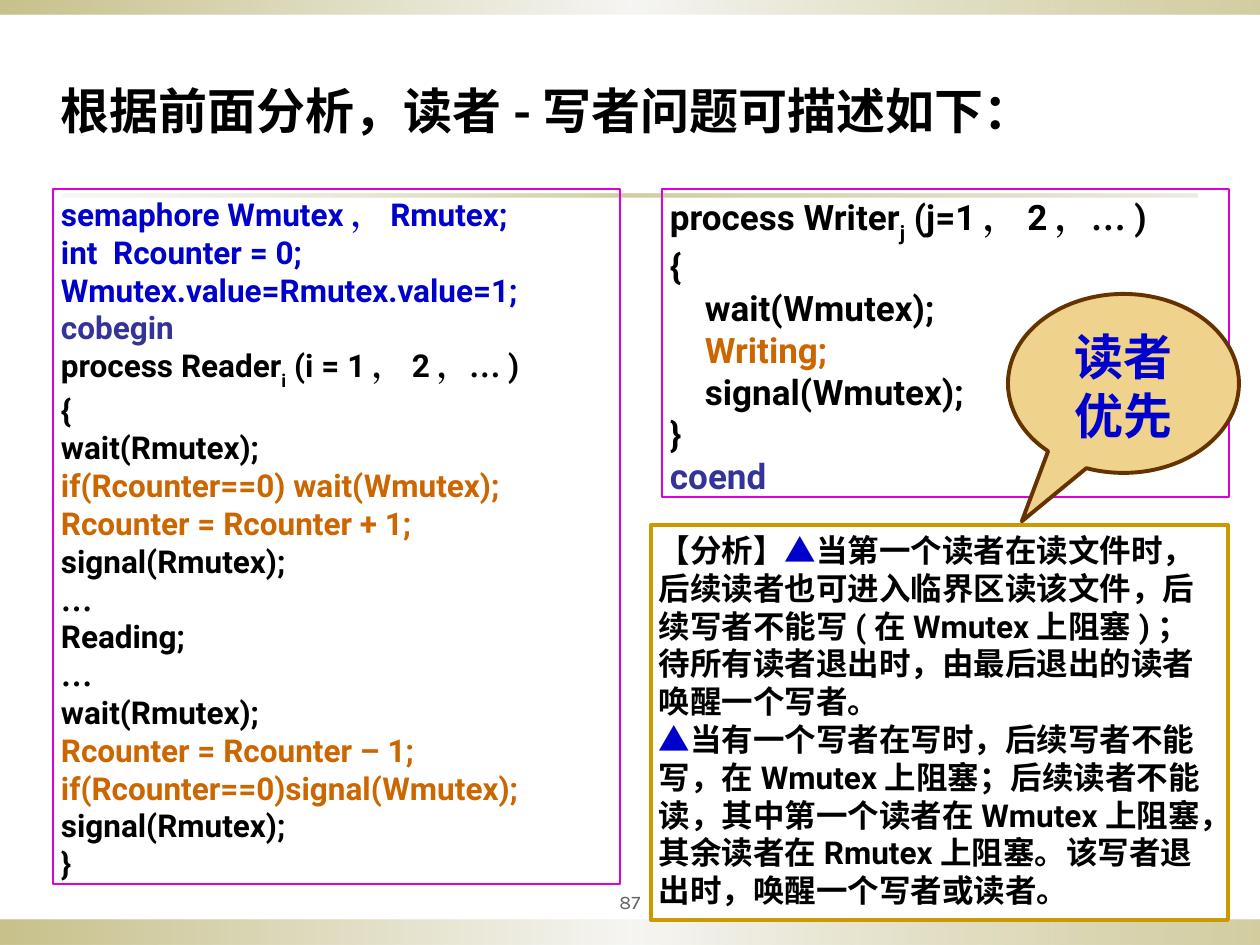
from itertools import groupby

from lxml import etree
from pptx import Presentation
from pptx import util as u
from pptx.dml.color import RGBColor
from pptx.enum import shapes, text
from pptx.oxml.ns import qn

PX = 914400 / 126
COLORS = {
    "olive": "918415", "pale": "EEEDE8", "mist": "DCD9CC",
    "black": "000000", "blue": "0000CC", "indigo": "333399",
    "orange": "CC6600", "gray": "636363", "magenta": "DD00DD",
    "gold": "CC9900", "white": "FFFFFF", "sand": "EFD28C", "brown": "663300",
}
WIDE_MARKS = "，…"

# Each paragraph is a list of runs: (text, colour) or (text, colour, "sub")
READER = [
    [("semaphore Wmutex，Rmutex;", "blue")],
    [("int  Rcounter = 0;", "blue")],
    [("Wmutex.value=Rmutex.value=1;", "blue")],
    [("cobegin", "indigo")],
    [("process Reader", "black"), ("i", "black", "sub"), (" (i = 1，2，…)", "black")],
    [("{", "black")],
    [("wait(Rmutex);", "black")],
    [("if(Rcounter==0) wait(Wmutex);", "orange")],
    [("Rcounter = Rcounter + 1;", "orange")],
    [("signal(Rmutex);", "black")],
    [("…", "black")],
    [("Reading;", "black")],
    [("…", "black")],
    [("wait(Rmutex);", "black")],
    [("Rcounter = Rcounter – 1;", "orange")],
    [("if(Rcounter==0)signal(Wmutex);", "orange")],
    [("signal(Rmutex);", "black")],
    [("}", "black")],
]
WRITER = [
    [("process Writer", "black"), ("j", "black", "sub"), (" (j=1，2，…)", "black")],
    [("{", "black")],
    [("    wait(Wmutex);", "black")],
    [("    Writing;", "orange")],
    [("    signal(Wmutex);", "black")],
    [("}", "black")],
    [("coend", "indigo")],
]
ANALYSIS = [
    [("【分析】", "black"), ("▲", "blue"),
     ("当第一个读者在读文件时，后续读者也可进入临界区读该文件，后续写者不能写"
      "(在Wmutex上阻塞)；待所有读者退出时，由最后退出的读者唤醒一个写者。", "black")],
    [("▲", "blue"),
     ("当有一个写者在写时，后续写者不能写，在Wmutex上阻塞；后续读者不能读，"
      "其中第一个读者在Wmutex上阻塞，其余读者在Rmutex上阻塞。"
      "该写者退出时，唤醒一个写者或读者。", "black")],
]


def px(value):
    return u.Emu(round(value * PX))


def rgb(name):
    return RGBColor.from_string(COLORS[name])


def style_run(run, font, size, color, bold=True):
    run.font.name = font
    run.font.size = u.Pt(size)
    run.font.bold = bold
    run.font.color.rgb = rgb(color)
    latin = run.font._element.find(qn("a:latin"))
    east_asian = etree.Element(qn("a:ea"), typeface=font)
    latin.addnext(east_asian)


def set_frame(frame, anchor=text.MSO_ANCHOR.TOP):
    frame.word_wrap = True
    frame.auto_size = text.MSO_AUTO_SIZE.NONE
    frame.vertical_anchor = anchor
    frame.margin_left = frame.margin_right = px(8)
    frame.margin_top = frame.margin_bottom = px(6)


def add_shape(slide, kind, box, fill=None, line=None, width=1):
    shape = slide.shapes.add_shape(kind, *map(px, box))
    shape.shadow.inherit = False
    if fill:
        shape.fill.solid()
        shape.fill.fore_color.rgb = rgb(fill)
    else:
        shape.fill.background()
    if line:
        shape.line.color.rgb = rgb(line)
        shape.line.width = u.Pt(width)
    else:
        shape.line.fill.background()
    return shape


def add_band(slide, box, stops):
    """Borderless strip with a horizontal gradient of (colour, opacity %)."""
    band = add_shape(slide, shapes.MSO_SHAPE.RECTANGLE, box, "white")
    band.fill.gradient()
    band.fill.gradient_angle = 0
    stop_list = band._element.spPr.find(".//" + qn("a:gsLst"))
    for stop in list(stop_list):
        stop_list.remove(stop)
    for index, (color, opacity) in enumerate(stops):
        stop = etree.SubElement(stop_list, qn("a:gs"), pos=str(index * 50000))
        value = etree.SubElement(stop, qn("a:srgbClr"), val=COLORS[color])
        etree.SubElement(value, qn("a:alpha"), val=str(opacity * 1000))


def add_text_panel(slide, box, paragraphs, size, line, width=1, fill=None):
    panel = add_shape(slide, shapes.MSO_SHAPE.RECTANGLE, box, fill, line, width)
    set_frame(panel.text_frame)
    for index, runs in enumerate(paragraphs):
        frame = panel.text_frame
        paragraph = frame.add_paragraph() if index else frame.paragraphs[0]
        paragraph.alignment = text.PP_ALIGN.LEFT
        for content, color, *script in runs:
            # Wide punctuation in the code takes a serif face
            is_code = paragraphs is not ANALYSIS
            for wide, chars in groupby(content, lambda c: is_code and c in WIDE_MARKS):
                run = paragraph.add_run()
                run.text = "".join(chars)
                style_run(run, "Times New Roman" if wide else "Roboto", size, color)
                if script:
                    run.font._element.set("baseline", "-30000")


def add_title(slide, box, content):
    title = slide.shapes.title
    title.left, title.top, title.width, title.height = map(px, box)
    set_frame(title.text_frame)
    title.text_frame.text = content
    paragraph = title.text_frame.paragraphs[0]
    paragraph.alignment = text.PP_ALIGN.LEFT
    style_run(paragraph.runs[0], "Noto Sans CJK SC", 28, "black")


def add_page_number(slide, box, content):
    number = slide.shapes.add_textbox(*map(px, box))
    set_frame(number.text_frame, text.MSO_ANCHOR.MIDDLE)
    number.text_frame.text = content
    paragraph = number.text_frame.paragraphs[0]
    paragraph.alignment = text.PP_ALIGN.CENTER
    style_run(paragraph.runs[0], "Karla", 11, "gray", bold=False)


def add_callout(slide, box, content):
    kind = shapes.MSO_SHAPE.OVAL_CALLOUT
    callout = add_shape(slide, kind, box, "sand", "brown", 2.25)
    callout.adjustments[0] = -0.44
    callout.adjustments[1] = 0.77
    set_frame(callout.text_frame)
    callout.text_frame.text = content
    for paragraph in callout.text_frame.paragraphs:
        paragraph.alignment = text.PP_ALIGN.CENTER
        style_run(paragraph.runs[0], "Karla", 28, "blue")


def main():
    presentation = Presentation()
    presentation.slide_width, presentation.slide_height = px(1260), px(945)
    slide = presentation.slides.add_slide(presentation.slide_layouts[5])

    # Page frame
    edge = [("olive", 50), ("pale", 50), ("olive", 40)]
    add_band(slide, (0, 920, 1260, 25), edge)
    add_band(slide, (0, 0, 1260, 15), edge)
    add_band(slide, (63, 194, 1134, 3), [("mist", 20), ("olive", 40), ("mist", 50)])
    add_page_number(slide, (567, 882, 126, 39), "87")
    add_title(slide, (53, 74, 1097, 72), "根据前面分析，读者-写者问题可描述如下：")

    # Code and analysis
    add_text_panel(slide, (53, 189, 567, 695), READER, 18, "magenta")
    add_text_panel(slide, (662, 189, 567, 308), WRITER, 20, "magenta")
    add_text_panel(slide, (651, 525, 577, 395), ANALYSIS, 18, "gold", 2.25, "white")
    add_callout(slide, (1008, 294, 231, 179), "读者\n优先")

    presentation.save("out.pptx")


if __name__ == "__main__":
    main()
